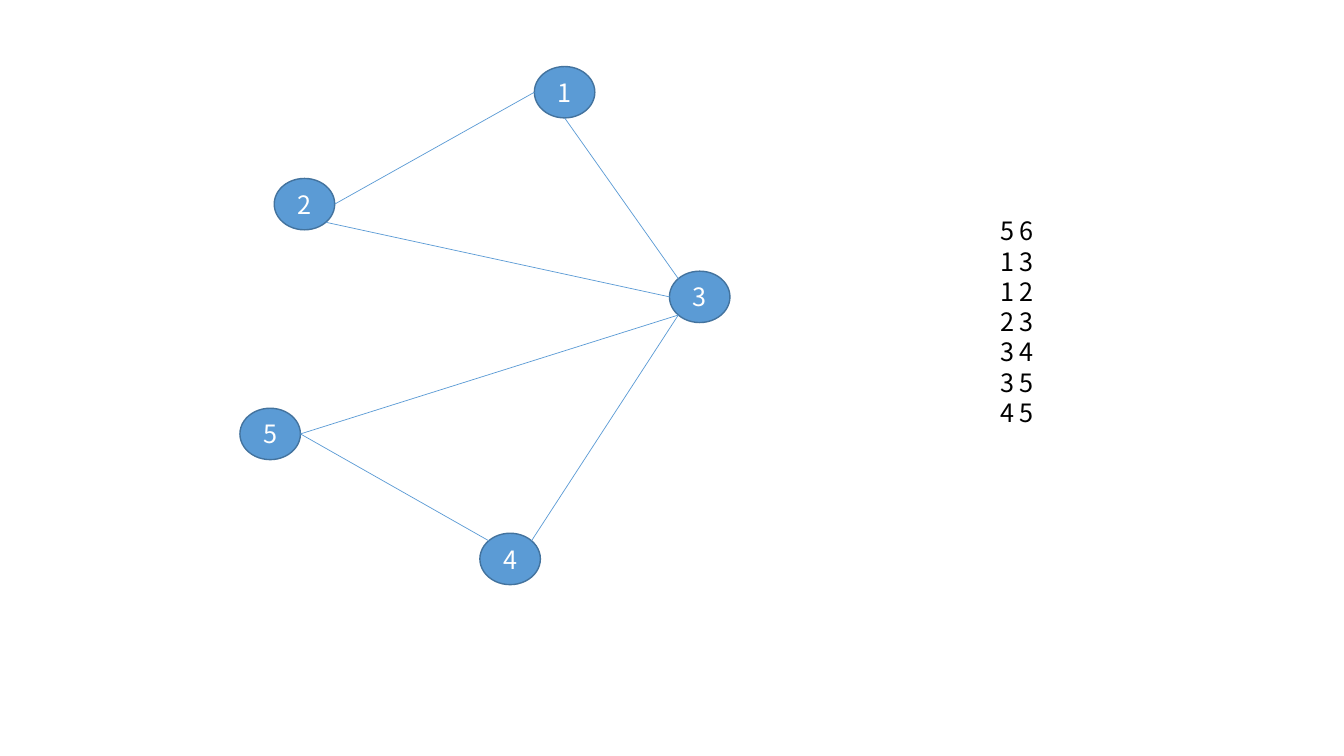
from dataclasses import dataclass
from math import cos, radians, sin

from lxml import etree
from pptx import Presentation
from pptx.dml.color import RGBColor
from pptx.enum.shapes import MSO_CONNECTOR, MSO_SHAPE
from pptx.enum.text import MSO_ANCHOR, MSO_AUTO_SIZE, PP_ALIGN
from pptx.oxml.ns import qn
from pptx.util import Inches, Pt

STRAIGHT = MSO_CONNECTOR.STRAIGHT
OVAL = MSO_SHAPE.OVAL
MIDDLE = MSO_ANCHOR.MIDDLE
FIT_TEXT = MSO_AUTO_SIZE.SHAPE_TO_FIT_TEXT
CENTER = PP_ALIGN.CENTER
LEFT = PP_ALIGN.LEFT


@dataclass(frozen=True)
class Theme:
    font: str = "Noto Sans CJK SC"
    size: float = 18
    accent: str = "5B9BD5"
    outline: str = "43739E"
    light: str = "FFFFFF"
    dark: str = "000000"
    outline_width: float = 1
    edge_width: float = 0.5


NODE_WIDTH, NODE_HEIGHT = 0.6, 0.51
NODES = {
    1: (5.3, 0.66),
    2: (2.72, 1.77),
    3: (6.64, 2.69),
    4: (4.76, 5.29),
    5: (2.38, 4.05),
}
SITE_ANGLES = {
    "right": 0, "lower right": 45, "bottom": 90, "lower left": 135,
    "left": 180, "upper left": 225, "upper right": 315,
}
EDGES = [
    (1, "bottom", 3, "upper left"),
    (1, "left", 2, "right"),
    (2, "lower right", 3, "left"),
    (3, "lower left", 4, "upper right"),
    (3, "lower left", 5, "right"),
    (4, "upper left", 5, "right"),
]


def site_point(node, site):
    left, top = NODES[node]
    angle = radians(SITE_ANGLES[site])
    return (left + NODE_WIDTH / 2 * (1 + cos(angle)),
            top + NODE_HEIGHT / 2 * (1 + sin(angle)))


class GraphSlide:
    def __init__(self, slide, theme):
        self.slide = slide
        self.theme = theme

    def label(self, frame, text, color, align):
        paragraph = frame.paragraphs[0]
        paragraph.text = text
        paragraph.alignment = align
        formats = {"name": self.theme.font, "size": Pt(self.theme.size)}
        for run in paragraph.runs:
            for key, value in formats.items():
                setattr(run.font, key, value)
            run.font.color.rgb = RGBColor.from_string(color)

    def stroke(self, line, color, width):
        line.color.rgb = RGBColor.from_string(color)
        line.width = Pt(width)

    def node(self, number):
        left, top = NODES[number]
        circle = self.slide.shapes.add_shape(
            OVAL, Inches(left), Inches(top),
            Inches(NODE_WIDTH), Inches(NODE_HEIGHT))
        circle.shadow.inherit = False
        circle.fill.solid()
        circle.fill.fore_color.rgb = RGBColor.from_string(self.theme.accent)
        self.stroke(circle.line, self.theme.outline, self.theme.outline_width)
        circle.text_frame.vertical_anchor = MIDDLE
        self.label(circle.text_frame, str(number), self.theme.light, CENTER)

    def edge(self, start, start_site, end, end_site):
        points = site_point(start, start_site) + site_point(end, end_site)
        link = self.slide.shapes.add_connector(STRAIGHT, *map(Inches, points))
        self.stroke(link.line, self.theme.accent, self.theme.edge_width)
        etree.SubElement(link._element.spPr, qn("a:effectLst"))

    def listing(self, rows, left, top, width, height):
        box = self.slide.shapes.add_textbox(
            Inches(left), Inches(top), Inches(width), Inches(height))
        box.text_frame.word_wrap = True
        box.text_frame.auto_size = FIT_TEXT
        text = "\v".join(f"{first} {second}" for first, second in rows)
        self.label(box.text_frame, text, self.theme.dark, LEFT)


def main():
    deck = Presentation()
    deck.slide_width, deck.slide_height = Inches(13.33), Inches(7.5)
    graph = GraphSlide(deck.slides.add_slide(deck.slide_layouts[6]), Theme())
    for number in NODES:
        graph.node(number)
    for edge in EDGES:
        graph.edge(*edge)
    edge_pairs = [(start, end) for start, _, end, _ in EDGES]
    graph.listing([(len(NODES), len(EDGES))] + edge_pairs,
                  9.82, 2.09, 0.55, 2.22)
    deck.save("out.pptx")


if __name__ == "__main__":
    main()
